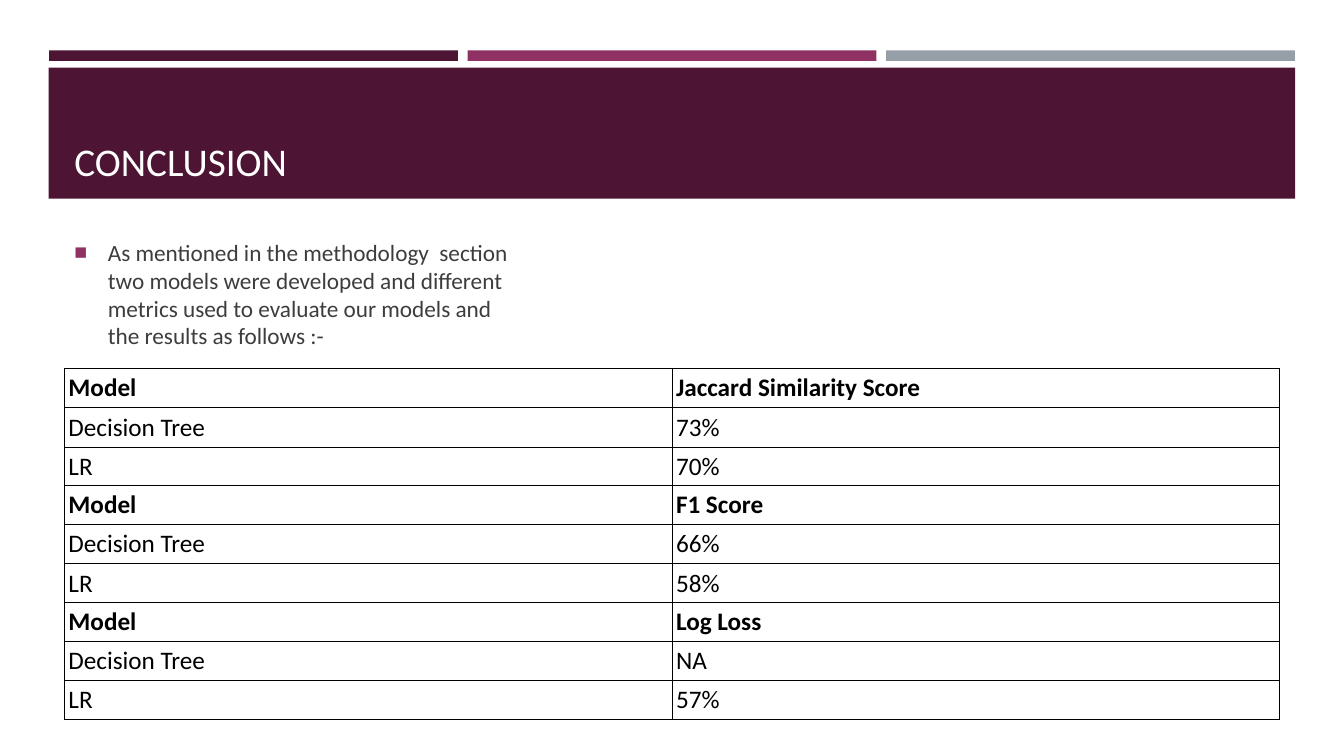
from lxml import etree
from pptx import Presentation
from pptx.dml.color import RGBColor
from pptx.enum.shapes import MSO_SHAPE
from pptx.enum.text import MSO_ANCHOR, MSO_AUTO_SIZE, PP_ALIGN
from pptx.oxml.ns import qn
from pptx.util import Pt

RECT = MSO_SHAPE.RECTANGLE
TOP, MIDDLE, BOTTOM = MSO_ANCHOR.TOP, MSO_ANCHOR.MIDDLE, MSO_ANCHOR.BOTTOM
LEFT = PP_ALIGN.LEFT
NO_FIT = MSO_AUTO_SIZE.NONE

PLUM, MAGENTA, GRAY = "4D1434", "903163", "969FA7"
BLACK, WHITE, BODY = "000000", "FFFFFF", "3D3D3D"


def rgb(value):
    return RGBColor.from_string(value)


def sub(parent, tag, **attrs):
    return etree.SubElement(parent, qn(tag), attrs)


class Deck:
    font = "Calibri"

    def __init__(self, width, height):
        self.prs = Presentation()
        self.prs.slide_width, self.prs.slide_height = Pt(width), Pt(height)

    def add_slide(self):
        self.slide = self.prs.slides.add_slide(self.prs.slide_layouts[5])

    def style(self, p, size, color, bold=False):
        p.alignment = LEFT
        f = p.font
        f.name, f.size, f.bold = self.font, Pt(size), bold
        f.color.rgb = rgb(color)

    def bar(self, x, y, w, h, color):
        sp = self.slide.shapes.add_shape(RECT, Pt(x), Pt(y), Pt(w), Pt(h))
        sp.shadow.inherit = False
        sp.fill.solid()
        sp.fill.fore_color.rgb = rgb(color)
        sp.line.fill.background()

    def title(self, text, x, y, w, h):
        sp = self.slide.shapes.title
        sp.left, sp.top, sp.width, sp.height = Pt(x), Pt(y), Pt(w), Pt(h)
        tf = sp.text_frame
        tf.text = text
        tf.auto_size, tf.vertical_anchor = NO_FIT, BOTTOM
        self.style(tf.paragraphs[0], 28, WHITE)
        # Bring the title in front of the banner
        self.slide.shapes._spTree.append(sp._element)

    def bullet(self, text, x, y, w, h):
        sp = self.slide.shapes.add_textbox(Pt(x), Pt(y), Pt(w), Pt(h))
        tf = sp.text_frame
        tf.word_wrap, tf.vertical_anchor, tf.margin_top = True, TOP, 0
        p = tf.paragraphs[0]
        p.text = text
        self.style(p, 16.6, BODY)
        p.space_after = Pt(6)
        pPr = p._p.get_or_add_pPr()
        pPr.set("marL", str(Pt(24)))
        pPr.set("indent", str(-Pt(24)))
        marks = [etree.Element(qn(tag)) for tag in ("a:buClr", "a:buSzPct", "a:buFont", "a:buChar")]
        sub(marks[0], "a:srgbClr", val=MAGENTA)
        marks[1].set("val", "92000")
        marks[2].set("typeface", "Arial")
        marks[3].set("char", "■")
        at = pPr.index(pPr.find(qn("a:defRPr")))
        pPr[at:at] = marks

    def borders(self, cell):
        tcPr = cell._tc.get_or_add_tcPr()
        for side in ("a:lnL", "a:lnR", "a:lnT", "a:lnB"):
            ln = sub(tcPr, side, w=str(Pt(0.75)))
            sub(sub(ln, "a:solidFill"), "a:srgbClr", val=BLACK)

    def table(self, rows, x, y, w, h):
        frame = self.slide.shapes.add_table(len(rows), len(rows[0]), Pt(x), Pt(y), Pt(w), Pt(h))
        tbl = frame.table
        tbl.first_row = tbl.horz_banding = False
        for i, row in enumerate(rows):
            for j, text in enumerate(row):
                cell = tbl.cell(i, j)
                cell.text = text
                cell.vertical_anchor = MIDDLE
                cell.margin_left = cell.margin_right = Pt(2.9)
                cell.margin_top = cell.margin_bottom = Pt(2.9)
                self.borders(cell)
                cell.fill.solid()
                cell.fill.fore_color.rgb = rgb(WHITE)
                self.style(cell.text_frame.paragraphs[0], 18, BLACK, bold=i == 0)


deck = Deck(960, 540)
deck.add_slide()

# Banner: three accent bars above the title band
for i, color in enumerate((PLUM, MAGENTA, GRAY)):
    deck.bar(35 + i * 299, 36, 292, 7.5, color)
deck.bar(34.8, 48.4, 890.4, 93.6, PLUM)
deck.title("CONCLUSION", 46, 55.5, 868, 80)

# Introduction
deck.bullet("As mentioned in the methodology  section two models were developed and "
            "different metrics used to evaluate our models and the results as follows :-",
            46, 170, 333, 100)

# One table per metric: name, decision tree result, LR result
METRICS = [
    ("Jaccard Similarity Score", "73%", "70%"),
    ("F1 Score", "66%", "58%"),
    ("Log Loss", "NA", "57%"),
]
for i, results in enumerate(METRICS):
    rows = list(zip(("Model", "Decision Tree", "LR"), results))
    deck.table(rows, 46, 263.3 + i * 83.5, 868, 84)

deck.prs.save("out.pptx")
